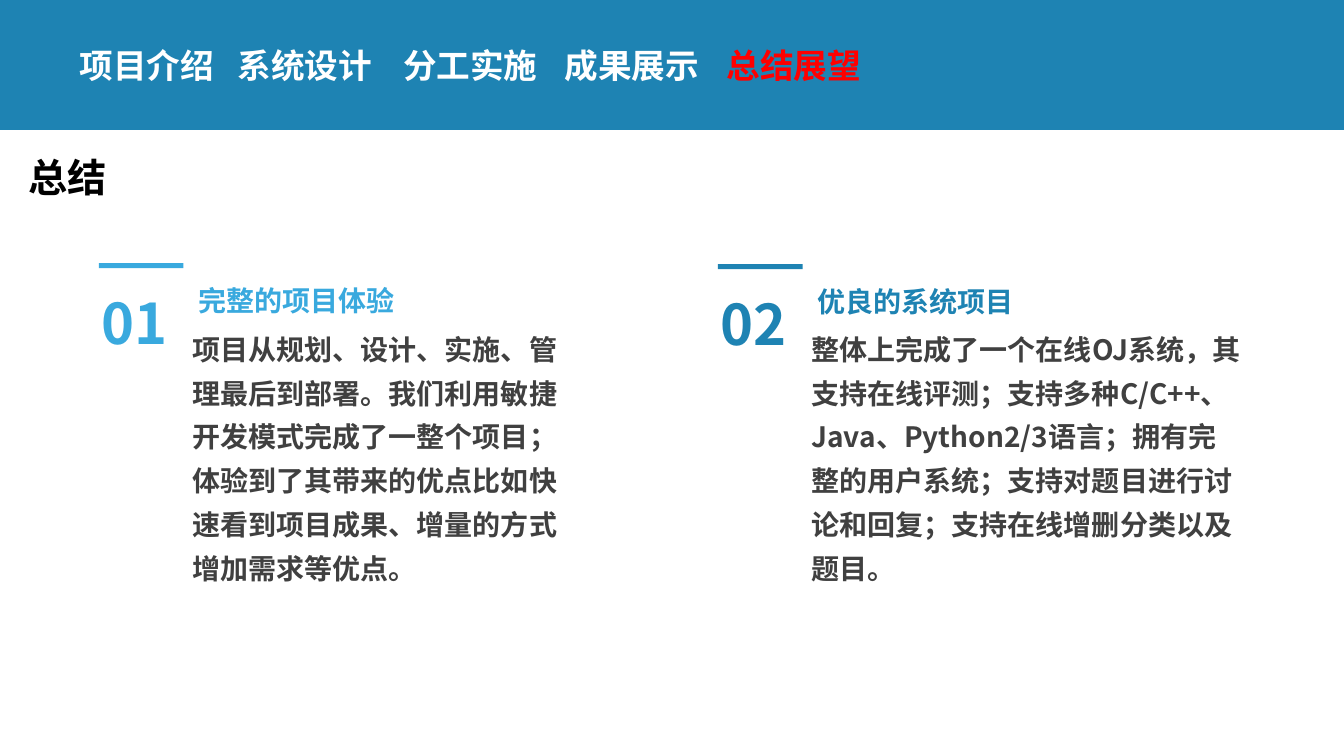
from lxml.etree import SubElement
from pptx import Presentation
from pptx.dml.color import RGBColor
from pptx.enum.shapes import MSO_SHAPE
from pptx.enum.text import MSO_ANCHOR, MSO_AUTO_SIZE, PP_ALIGN
from pptx.oxml.ns import qn
from pptx.util import Inches, Pt

FONT = "Noto Sans CJK SC"
BLUE = "1E83B3"
LIGHT_BLUE = "39A9DE"
WHITE = "FFFFFF"


def add_bar(left, top, width, height, color):
    shape = slide.shapes.add_shape(
        MSO_SHAPE.RECTANGLE, Inches(left), Inches(top), Inches(width), Inches(height))
    shape.shadow.inherit = False
    shape.fill.solid()
    shape.fill.fore_color.rgb = RGBColor.from_string(color)
    shape.line.fill.background()


def add_text(text, left, top, width, height, size, color, spacing=1.3, wrap=False):
    shape = slide.shapes.add_textbox(
        Inches(left), Inches(top), Inches(width), Inches(height))
    frame = shape.text_frame
    frame.text = text
    frame.word_wrap = wrap
    frame.auto_size = MSO_AUTO_SIZE.SHAPE_TO_FIT_TEXT
    paragraph = frame.paragraphs[0]
    paragraph.line_spacing = spacing
    font = paragraph.runs[0].font
    font.size = Pt(size)
    font.bold = True
    font.color.rgb = RGBColor.from_string(color)
    font.name = FONT
    SubElement(paragraph.runs[0]._r.get_or_add_rPr(), qn("a:ea"), typeface=FONT)
    return frame


presentation = Presentation()
presentation.slide_width = Inches(13.33)
presentation.slide_height = Inches(7.5)
slide = presentation.slides.add_slide(presentation.slide_layouts[6])
slide.background.fill.solid()
slide.background.fill.fore_color.rgb = RGBColor.from_string(BLUE)

add_bar(0, 1.29, 13.33, 6.21, WHITE)

tabs = [
    ("项目介绍", 0.65, WHITE, PP_ALIGN.CENTER),
    ("系统设计", 2.26, WHITE, PP_ALIGN.LEFT),
    ("分工实施", 3.9, WHITE, PP_ALIGN.LEFT),
    ("成果展示", 5.5, WHITE, PP_ALIGN.LEFT),
    ("总结展望", 7.11, "FF0000", PP_ALIGN.LEFT),
]
for label, left, color, alignment in tabs:
    frame = add_text(label, left, 0.28, 1.61, 0.79, 24, color, 0.9, True)
    frame.auto_size = MSO_AUTO_SIZE.NONE
    frame.vertical_anchor = MSO_ANCHOR.MIDDLE
    frame.paragraphs[0].alignment = alignment

add_text("总结", 0.18, 1.47, 0.99, 0.57, 28, "000000", 1.0)

points = [
    ("01", "完整的项目体验",
     "项目从规划、设计、实施、管理最后到部署。我们利用敏捷开发模式完成了一整个项目；"
     "体验到了其带来的优点比如快速看到项目成果、增量的方式增加需求等优点。",
     0.98, 2.61, 4.02, LIGHT_BLUE),
    ("02", "优良的系统项目",
     "整体上完成了一个在线OJ系统，其支持在线评测；支持多种C/C++、Java、Python2/3语言；"
     "拥有完整的用户系统；支持对题目进行讨论和回复；支持在线增删分类以及题目。",
     7.12, 2.62, 4.47, BLUE),
]
for number, heading, body, left, top, body_width, color in points:
    add_bar(left, top, 0.84, 0.05, color)
    add_text(body, left + 0.83, 3.15, body_width, 2.68, 20, "404040", wrap=True)
    add_text(heading, left + 0.89, top + 0.05, 2.17, 0.5, 20, color)
    add_text(number, left - 0.07, top, 0.89, 0.98, 40, color)

presentation.save("out.pptx")
